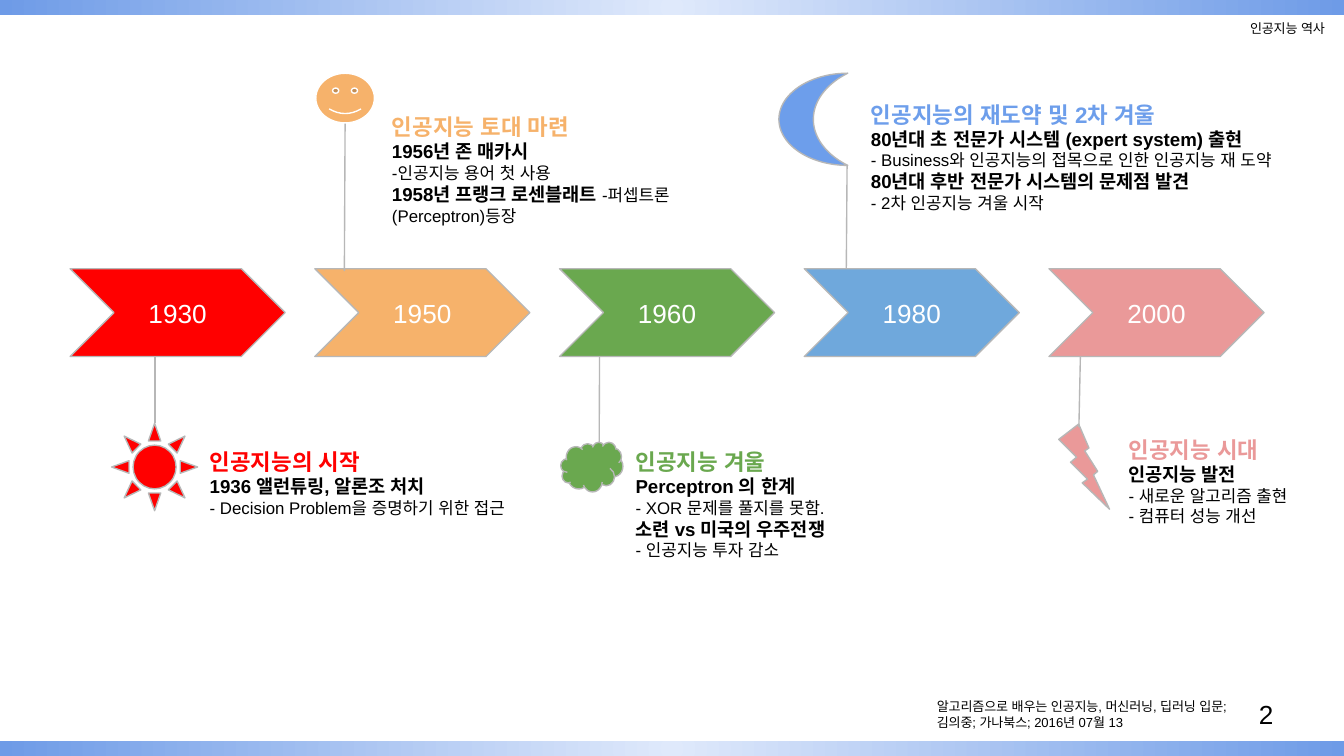
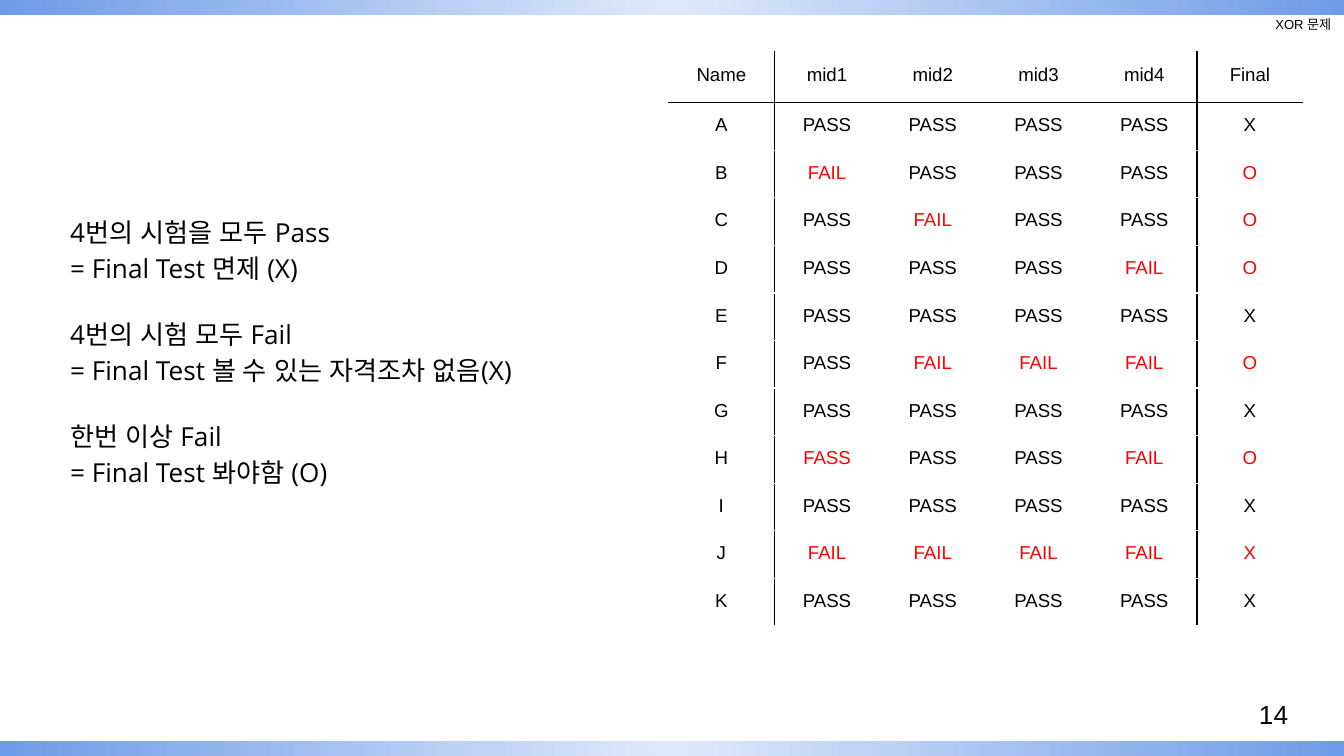
import pptx
import pptx.dml.color
import pptx.enum.shapes
import pptx.enum.text
import pptx.oxml
import pptx.oxml.ns
import pptx.util
from lxml import etree

Pt = pptx.util.Pt
RGBColor = pptx.dml.color.RGBColor
MSO_SHAPE = pptx.enum.shapes.MSO_SHAPE
ANCHOR = pptx.enum.text.MSO_ANCHOR
CENTER = pptx.enum.text.PP_ALIGN.CENTER
qn = pptx.oxml.ns.qn

BLACK = RGBColor(0x00, 0x00, 0x00)
WHITE = RGBColor(0xFF, 0xFF, 0xFF)
GREY = RGBColor(0xB7, 0xB7, 0xB7)
RED = RGBColor(0xFF, 0x00, 0x00)
ORANGE = RGBColor(0xF6, 0xB2, 0x6B)
GREEN = RGBColor(0x6A, 0xA8, 0x4F)
SKY = RGBColor(0x6F, 0xA8, 0xDC)
BLUE = RGBColor(0x6D, 0x9E, 0xEB)
PINK = RGBColor(0xEA, 0x99, 0x99)
BAND_CENTER = RGBColor(0xDF, 0xE9, 0xFB)
BAND_EDGE = RGBColor(0x6E, 0x9B, 0xE7)

WIDTH, HEIGHT = 720, 405
BAND_H = 7.9
INSET = 7.2
LINE_W = 0.75


def add_box(slide, box, preset=None, fill=None, line=GREY, anchor=ANCHOR.MIDDLE):
    """Add a filled preset shape, or a text box when no preset is given."""
    lengths = [Pt(v) for v in box]
    if preset is None:
        sp = slide.shapes.add_textbox(*lengths)
    else:
        sp = slide.shapes.add_shape(preset, *lengths)
        sp.shadow.inherit = False
        sp.fill.solid()
        sp.fill.fore_color.rgb = fill
        sp.line.color.rgb = line
        sp.line.width = Pt(LINE_W)
    tf = sp.text_frame
    tf.word_wrap = True
    tf.vertical_anchor = anchor
    tf.margin_left = tf.margin_right = tf.margin_top = tf.margin_bottom = Pt(INSET)
    return sp


def style_runs(runs, size, color=BLACK, bold=False, font="Arial"):
    for r in runs:
        r.font.size = Pt(size)
        r.font.bold = bold
        r.font.color.rgb = color
        r.font.name = font
        etree.SubElement(r.font._element, qn("a:ea"), typeface=font)


prs = pptx.Presentation()
prs.slide_width, prs.slide_height = Pt(WIDTH), Pt(HEIGHT)
blank = prs.slide_layouts[6]
history, xor = [prs.slides.add_slide(blank) for _ in range(2)]

# Gradient bands, shared through the slide master
for top in (HEIGHT - BAND_H, 0):
    band = add_box(history, (0, top, WIDTH, BAND_H), MSO_SHAPE.RECTANGLE, WHITE)
    band.line.fill.background()
    band.fill.gradient()
    for stop, color, position in zip(band.fill.gradient_stops, (BAND_CENTER, BAND_EDGE), (0, 1)):
        stop.color.rgb = color
        stop.position = position
    grad = band.element.spPr.find(qn("a:gradFill"))
    lin = grad.find(qn("a:lin"))
    circle = etree.Element(qn("a:path"), path="circle")
    etree.SubElement(circle, qn("a:fillToRect"), l="50000", t="50000", r="50000", b="50000")
    grad.replace(lin, circle)
    prs.slide_master.shapes.element.append(band.element)

# Timeline: year, arrow colour, accent, icon, icon box, stem, text box, heading, lines
# A part that starts with a dash is a detail, any other part is a bold statement.
milestones = [
    ("1930", RED, RED, MSO_SHAPE.SUN, (59.8, 226.8, 46.1, 46.8), (83, 190.8, 83, 226.8),
     (105.3, 218.5, 182.2, 71.3), "인공지능의 시작",
     [["1936 앨런튜링, 알론조 처치"], ["- Decision Problem을 증명하기 위한 접근"]]),
    ("1950", ORANGE, ORANGE, MSO_SHAPE.SMILEY_FACE, (169.2, 39.3, 31.4, 26.6),
     (184.9, 66.2, 184.5, 145.2), (202.9, 39.2, 173, 88.6), "인공지능 토대 마련",
     [["1956년 존 매카시"], ["-인공지능 용어 첫 사용"],
      ["1958년 프랭크 로센블래트 ", "-퍼셉트론(Perceptron)등장"]]),
    ("1960", GREEN, GREEN, MSO_SHAPE.CLOUD, (300.4, 236.9, 33.3, 26.6), (321.2, 190.8, 321, 236.9),
     (333.4, 218.5, 126, 93.6), "인공지능 겨울",
     [["Perceptron 의 한계"], ["- XOR 문제를 풀지를 못함."],
      ["소련 vs 미국의 우주전쟁"], ["- 인공지능 투자 감소"]]),
    ("1980", SKY, BLUE, MSO_SHAPE.MOON, (417.3, 39.2, 36.9, 49.4), (453.8, 88.6, 453.4, 143.6),
     (459.5, 32.4, 256.4, 95.8), "인공지능의 재도약 및 2차 겨울",
     [["80년대 초 전문가 시스템 (expert system) 출현"],
      ["- Business와 인공지능의 접목으로 인한 인공지능 재 도약"],
      ["80년대 후반 전문가 시스템의 문제점 발견"], ["- 2차 인공지능 겨울 시작"]]),
    ("2000", PINK, PINK, MSO_SHAPE.LIGHTNING_BOLT, (567.2, 227.2, 27.2, 45.6),
     (578.8, 190.8, 578, 228.8), (597.5, 212, 111.6, 75.6), "인공지능 시대",
     [["인공지능 발전"], ["- 새로운 알고리즘 출현"], ["- 컴퓨터 성능 개선"]]),
]
ARROW_LEFT, ARROW_STEP = 37.6, 131.1

for i, (year, color, accent, icon, icon_box, stem, text_box, heading, lines) in enumerate(milestones):
    arrow = add_box(history, (ARROW_LEFT + i * ARROW_STEP, 144, 115.2, 47), MSO_SHAPE.CHEVRON, color)
    p = arrow.text_frame.paragraphs[0]
    p.text = year
    p.alignment = CENTER
    style_runs(p.runs, 14, WHITE)

    outline = WHITE if icon == MSO_SHAPE.SMILEY_FACE else GREY
    add_box(history, icon_box, icon, accent, outline)

    cxn = history.shapes.add_connector(pptx.enum.shapes.MSO_CONNECTOR.STRAIGHT, *[Pt(v) for v in stem])
    cxn.line.color.rgb = GREY
    cxn.line.width = Pt(LINE_W)
    etree.SubElement(cxn.element.spPr, qn("a:effectLst"))

    tf = add_box(history, text_box, anchor=ANCHOR.TOP).text_frame
    p = tf.paragraphs[0]
    p.text = heading
    p.line_spacing = 2.0
    style_runs(p.runs, 12, accent, bold=True)
    for parts in lines:
        p = tf.add_paragraph()
        for part in parts:
            r = p.add_run()
            r.text = part
            detail = part.startswith("-")
            style_runs([r], 9 if detail else 10, bold=not detail)

# Book reference
tf = add_box(history, (494.8, 377.3, 198, 10.8), MSO_SHAPE.RECTANGLE, WHITE, WHITE).text_frame
tf.text = "알고리즘으로 배우는 인공지능, 머신러닝, 딥러닝 입문;\n김의중; 가나북스; 2016년 07월 13"
for p in tf.paragraphs:
    p.alignment = pptx.enum.text.PP_ALIGN.LEFT
    style_runs(p.runs, 7)

# Rules of the final test
rules = [
    ("4번의 시험을 모두 Pass", "= Final Test 면제 (X)"),
    ("4번의 시험 모두 Fail", "= Final Test 볼 수 있는 자격조차 없음(X)"),
    ("한번 이상 Fail", "= Final Test 봐야함 (O)"),
]
tf = add_box(xor, (30.5, 106.2, 307.4, 160.6), anchor=ANCHOR.TOP).text_frame
tf.text = "\n".join(line for rule in rules for line in rule)
for i, p in enumerate(tf.paragraphs):
    p.line_spacing = 1.15
    p.space_after = Pt(16 * (i % 2))
    style_runs(p.runs, 14, font="Open Sans")

# Exam results
results = [
    "Name mid1 mid2 mid3 mid4 Final",
    "A PASS PASS PASS PASS X",
    "B FAIL PASS PASS PASS O",
    "C PASS FAIL PASS PASS O",
    "D PASS PASS PASS FAIL O",
    "E PASS PASS PASS PASS X",
    "F PASS FAIL FAIL FAIL O",
    "G PASS PASS PASS PASS X",
    "H FASS PASS PASS FAIL O",
    "I PASS PASS PASS PASS X",
    "J FAIL FAIL FAIL FAIL X",
    "K PASS PASS PASS PASS X",
]
rows = [line.split() for line in results]
COL_W, HEAD_H, ROW_H = 56.64, 27.4, 25.5
CELL_INSET = 6.6
n_rows, n_cols = len(rows), len(rows[0])
table = xor.shapes.add_table(n_rows, n_cols, Pt(358.1), Pt(27.6), Pt(COL_W * n_cols),
                             Pt(HEAD_H + ROW_H * (n_rows - 1))).table
table.first_row = table.horz_banding = False
for col in table.columns:
    col.width = Pt(COL_W)
for i, values in enumerate(rows):
    table.rows[i].height = Pt(ROW_H if i else HEAD_H)
    failed = any(v in ("FAIL", "FASS") for v in values)
    for j, value in enumerate(values):
        cell = table.cell(i, j)
        cell.margin_left = cell.margin_right = Pt(INSET)
        cell.margin_top = cell.margin_bottom = Pt(CELL_INSET if i else INSET)
        p = cell.text_frame.paragraphs[0]
        p.text = value
        p.alignment = CENTER
        red = value in ("FAIL", "FASS") or (failed and j == n_cols - 1)
        style_runs(p.runs, 10, RED if red else BLACK)
        black_sides = {"L": j in (1, 5), "R": j in (0, 4), "T": i == 1, "B": i == 0}
        for side, is_black in black_sides.items():
            ln = etree.SubElement(cell._tc.get_or_add_tcPr(), qn("a:ln" + side), w=str(Pt(LINE_W)))
            solid = etree.SubElement(ln, qn("a:solidFill"))
            etree.SubElement(solid, qn("a:srgbClr"), val=str(BLACK if is_black else WHITE))
        cell.fill.background()

# Running title and page number, in front of everything else
for slide, title, title_box, number in (
    (history, "인공지능 역사", (662.6, 8.3, 60.5, 13.7), "2"),
    (xor, "XOR 문제", (676.2, 6.1, 53.3, 13.7), "14"),
):
    for text, box, size in ((title, title_box, 7), (number, (667.4, 367.2, 43.2, 31), 14)):
        p = add_box(slide, box).text_frame.paragraphs[0]
        p.text = text
        style_runs(p.runs, size)

prs.save("out.pptx")
